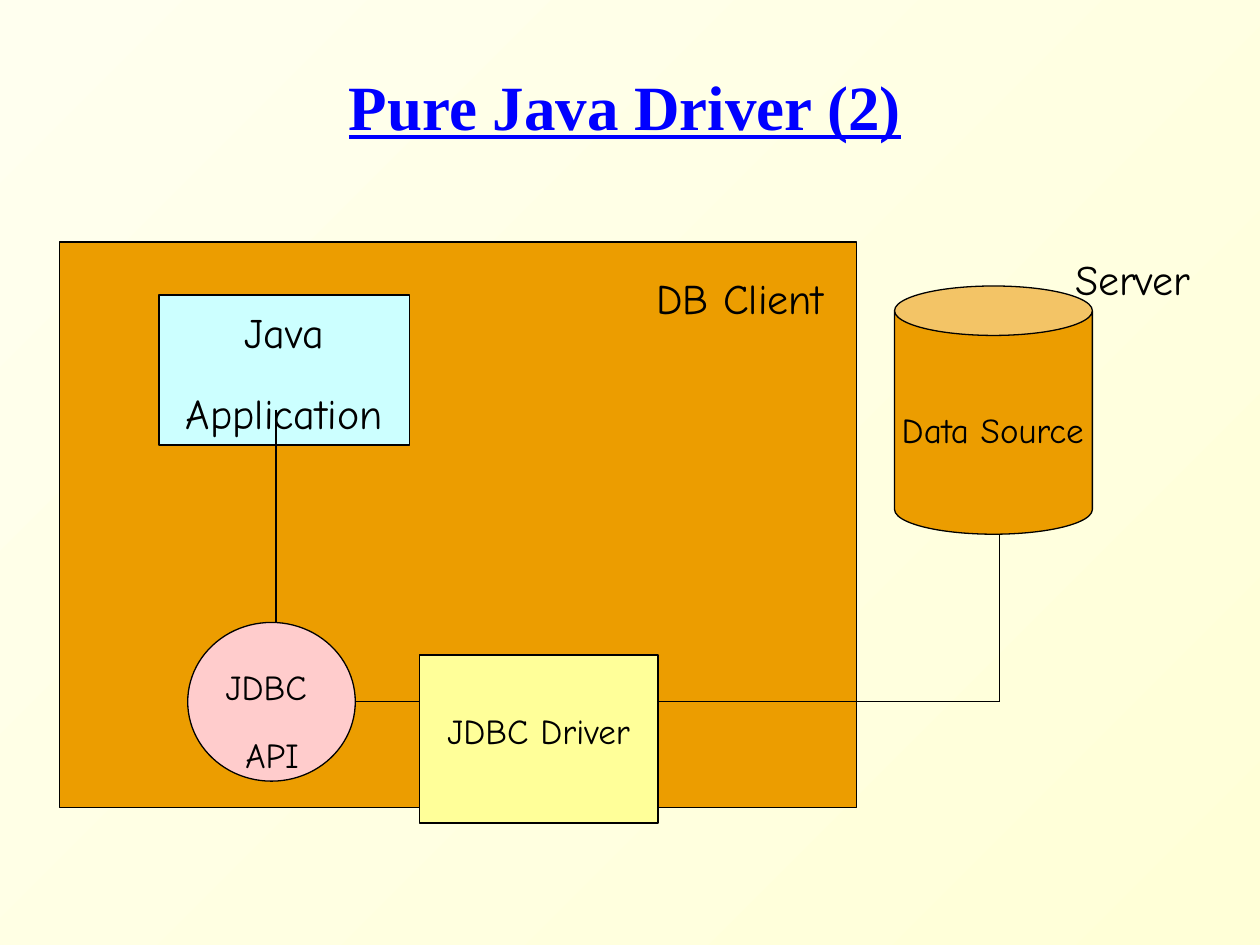
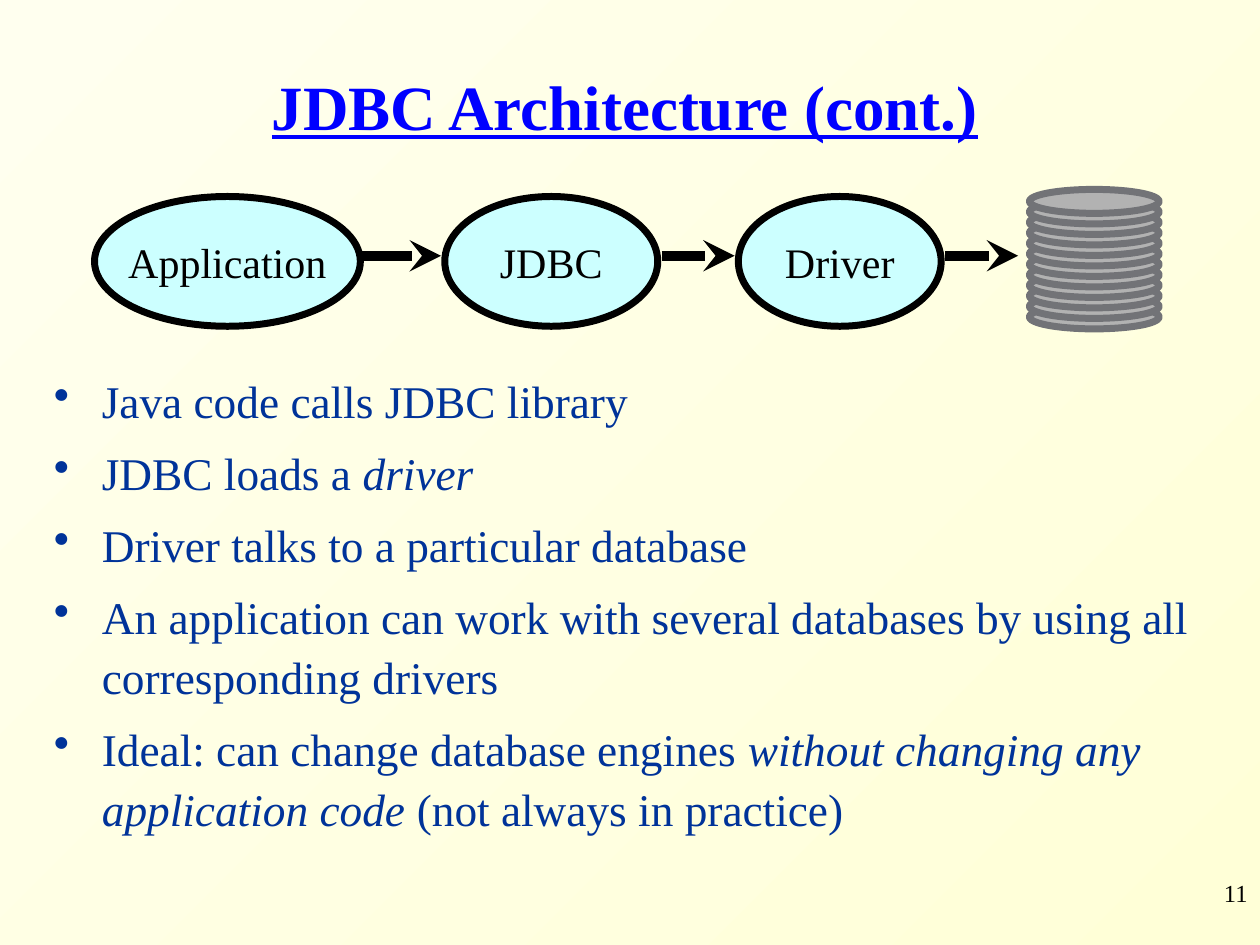
from dataclasses import dataclass

from lxml import etree
from pptx import Presentation
from pptx import util as u
from pptx.dml.color import RGBColor
from pptx.enum import shapes, text
from pptx.oxml import ns
from pptx.shapes.autoshape import Shape
from pptx.slide import Slide

COLORS = {
    "page_start": "FFFFEF",
    "page_end": "FFFFD7",
    "title": "0000FF",
    "body": "003399",
    "ink": "000000",
    "orange": "EC9D00",
    "cyan": "CCFFFF",
    "pink": "FFCCCC",
    "yellow": "FFFF99",
    "disk": "B2B2B2",
    "disk_edge": "727377",
}
SERIF = "Times New Roman"
HAND = "Comic Neue"
KIND = shapes.MSO_SHAPE


@dataclass(frozen=True)
class TextStyle:
    size: float
    font: str = SERIF
    color: str = "ink"
    bold: bool = False
    underline: bool = False
    align: text.PP_ALIGN = text.PP_ALIGN.CENTER
    anchor: text.MSO_ANCHOR = text.MSO_ANCHOR.TOP
    line_spacing: float = 1.0
    space_before: float = 0
    wrap: bool = False
    top_inset: float = 0.05


TITLE = TextStyle(36, color="title", bold=True, underline=True, wrap=True,
                  anchor=text.MSO_ANCHOR.MIDDLE, line_spacing=0.85)
LARGE = TextStyle(24, HAND, line_spacing=1.1, space_before=15)
SMALL = TextStyle(20, HAND, line_spacing=1.1, space_before=12.5)
LOWERED = TextStyle(20, HAND, line_spacing=1.1, top_inset=0.4)
STAGE = TextStyle(24, anchor=text.MSO_ANCHOR.MIDDLE)
BODY = TextStyle(25.9, color="body", align=text.PP_ALIGN.LEFT,
                 line_spacing=1.1, space_before=7, wrap=True)
PAGE_NUMBER = TextStyle(14, align=text.PP_ALIGN.RIGHT, wrap=True)


@dataclass(frozen=True)
class Node:
    """A preset shape, or a plain text box when kind is None."""
    left: float
    top: float
    width: float
    height: float
    kind: shapes.MSO_SHAPE | None = None
    fill: str = "orange"
    line: str | None = "ink"
    weight: float = 0.75
    label: str = ""
    style: TextStyle = STAGE


@dataclass(frozen=True)
class Link:
    x1: float
    y1: float
    x2: float
    y2: float
    weight: float = 0.75
    arrow: bool = False


DRIVER_NODES = [
    Node(0.47, 1.92, 6.33, 4.49, KIND.RECTANGLE),
    Node(1.26, 2.34, 1.99, 1.19, KIND.RECTANGLE, "cyan", weight=1,
         label="Java\nApplication", style=LARGE),
    Node(5.11, 2.07, 1.53, 0.54, KIND.RECTANGLE, line=None, label="DB Client", style=LARGE),
    Node(1.49, 4.94, 1.33, 1.26, KIND.OVAL, "pink"),
    Node(1.69, 5.2, 0.94, 1.01, label="JDBC \nAPI", style=SMALL),
    Node(3.33, 5.2, 1.89, 1.33, KIND.RECTANGLE, "yellow", weight=1,
         label="JDBC Driver", style=LOWERED),
    Node(7.1, 2.27, 1.57, 1.97, KIND.CAN),
    Node(7.05, 3.16, 1.66, 0.47, label="Data Source", style=SMALL),
    Node(8.43, 1.92, 1.12, 0.54, label="Server", style=LARGE),
]
DRIVER_LINKS = [
    Link(2.19, 3.25, 2.19, 4.94),
    Link(2.82, 5.57, 3.33, 5.57),
    Link(5.22, 5.57, 7.93, 5.57),
    Link(7.93, 4.24, 7.93, 5.57),
]

STAGES = [
    Node(left, 1.56, width, 1.03, KIND.OVAL, "cyan", weight=4, label=label)
    for left, width, label in [
        (0.75, 2.11, "Application"), (3.53, 1.69, "JDBC"), (5.86, 1.61, "Driver")]
]
DISK_COUNT = 12
DISKS = [
    Node(8.17, 2.42 - index / 12, 1.03, 0.19, KIND.OVAL, "disk", "disk_edge", 4)
    for index in range(DISK_COUNT)
]
STAGE_ARROWS = [
    Link(start, 2.03, end, 2.03, 6, True)
    for start, end in [(2.83, 3.5), (5.25, 5.83), (7.5, 8.08)]
]
# Each point alternates upright and italic pieces.
POINTS = [
    ["Java code calls JDBC library"],
    ["JDBC loads a ", "driver"],
    ["Driver talks to a particular database"],
    ["An application can work with several databases by using all corresponding drivers"],
    ["Ideal: can change database engines ", "without changing any application code",
     " (not always in practice)"],
]


def rgb(name: str) -> RGBColor:
    return RGBColor.from_string(COLORS[name])


def write_text(box: Shape, paragraphs: list[list[str]], style: TextStyle) -> None:
    """Fill the box; every second piece of a paragraph is italic."""
    frame = box.text_frame
    frame.text = "\n".join("".join(pieces) for pieces in paragraphs)
    frame.word_wrap = style.wrap
    frame.vertical_anchor = style.anchor
    frame.margin_top = u.Inches(style.top_inset)
    for para, pieces in zip(frame.paragraphs, paragraphs):
        para.alignment = style.align
        para.line_spacing = style.line_spacing
        para.space_before = u.Pt(style.space_before)
        para.runs[0].text = pieces[0]
        for piece in pieces[1:]:
            para.add_run().text = piece
        for index, span in enumerate(para.runs):
            span.font.name = style.font
            span.font.size = u.Pt(style.size)
            span.font.bold = style.bold
            span.font.underline = style.underline
            span.font.italic = index % 2 == 1
            span.font.color.rgb = rgb(style.color)


def add_bullets(box: Shape, color: str) -> None:
    indent = u.Inches(0.38)
    for para in box.text_frame.paragraphs:
        props = para._p.get_or_add_pPr()
        props.set("marL", str(indent))
        props.set("indent", str(-indent))
        bullet_color = etree.SubElement(props, ns.qn("a:buClr"))
        etree.SubElement(bullet_color, ns.qn("a:srgbClr"), val=COLORS[color])
        etree.SubElement(props, ns.qn("a:buChar"), char="•")


def add_node(page: Slide, node: Node) -> Shape:
    bounds = [u.Inches(value) for value in (node.left, node.top, node.width, node.height)]
    if node.kind is None:
        box = page.shapes.add_textbox(*bounds)
    else:
        box = page.shapes.add_shape(node.kind, *bounds)
        box.shadow.inherit = False
        box.fill.solid()
        box.fill.fore_color.rgb = rgb(node.fill)
        if node.line:
            box.line.color.rgb = rgb(node.line)
            box.line.width = u.Pt(node.weight)
        else:
            box.line.fill.background()
    if node.label:
        write_text(box, [[line] for line in node.label.split("\n")], node.style)
    return box


def add_link(page: Slide, link: Link) -> None:
    ends = [u.Inches(value) for value in (link.x1, link.y1, link.x2, link.y2)]
    line = page.shapes.add_connector(shapes.MSO_CONNECTOR.STRAIGHT, *ends)
    line.line.color.rgb = rgb("ink")
    line.line.width = u.Pt(link.weight)
    if link.arrow:
        etree.SubElement(line.line._get_or_add_ln(), ns.qn("a:tailEnd"), type="stealth")
    etree.SubElement(line._element.spPr, ns.qn("a:effectLst"))


def add_page(deck: Presentation, title: str, nodes: list[Node], links: list[Link]) -> Slide:
    """Add a page with the shared background and title, then its diagram."""
    page = deck.slides.add_slide(deck.slide_layouts[6])
    fill = page.background.fill
    fill.gradient()
    fill.gradient_angle = 315
    for stop, color in zip(fill.gradient_stops, ("page_start", "page_end")):
        stop.color.rgb = rgb(color)
    add_node(page, Node(1, 0.42, 7.92, 0.92, label=title, style=TITLE))
    for node in nodes:
        add_node(page, node)
    for link in links:
        add_link(page, link)
    return page


def main() -> None:
    deck = Presentation()
    deck.slide_width = u.Inches(10)
    deck.slide_height = u.Inches(7.5)

    add_page(deck, "Pure Java Driver (2)", DRIVER_NODES, DRIVER_LINKS)

    page = add_page(deck, "JDBC Architecture (cont.)", STAGES + DISKS, STAGE_ARROWS)
    body = add_node(page, Node(0.33, 2.87, 9.42, 3.95))
    write_text(body, POINTS, BODY)
    add_bullets(body, BODY.color)
    add_node(page, Node(7.92, 6.92, 2.08, 0.5, label="11", style=PAGE_NUMBER))

    deck.save("out.pptx")


if __name__ == "__main__":
    main()
